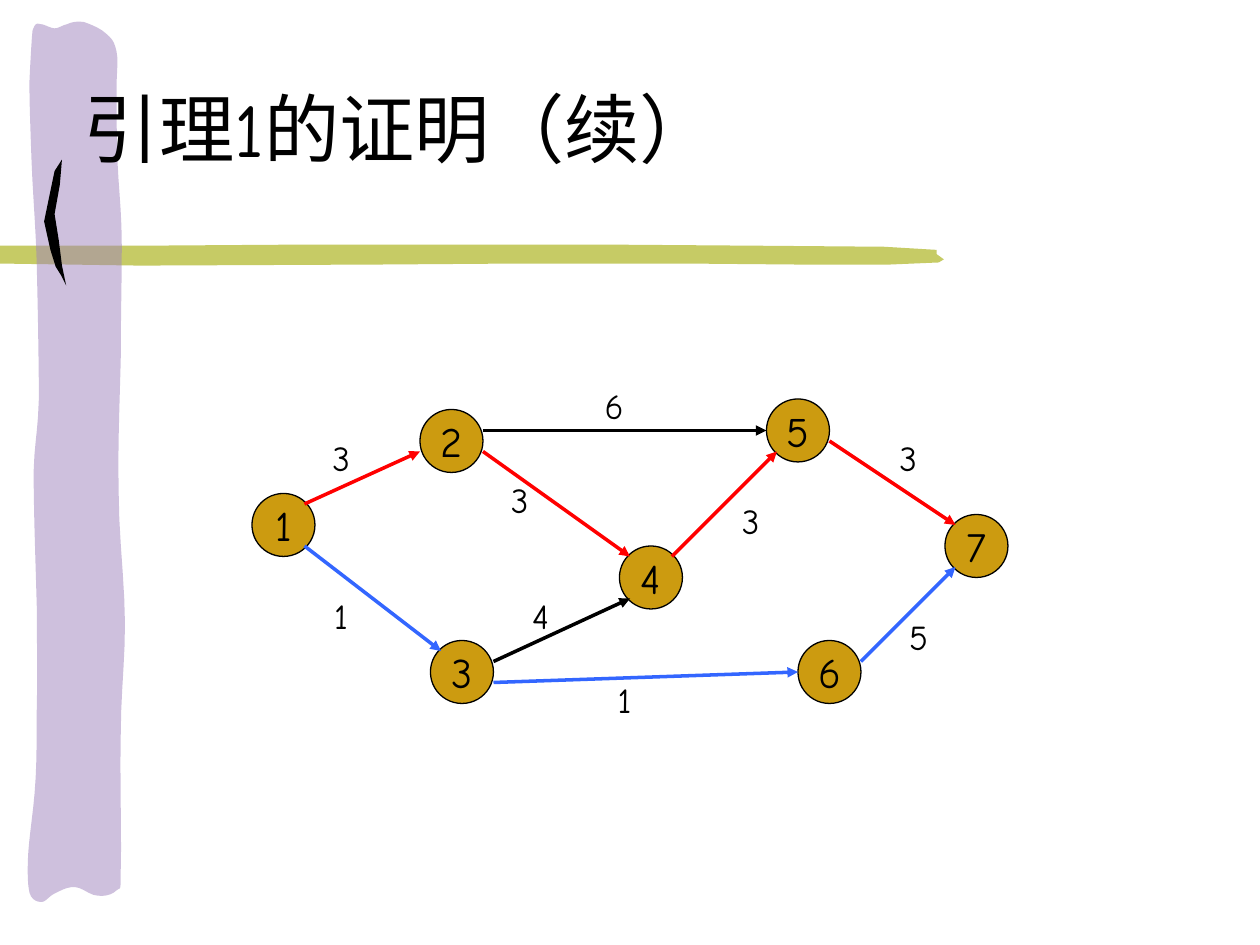
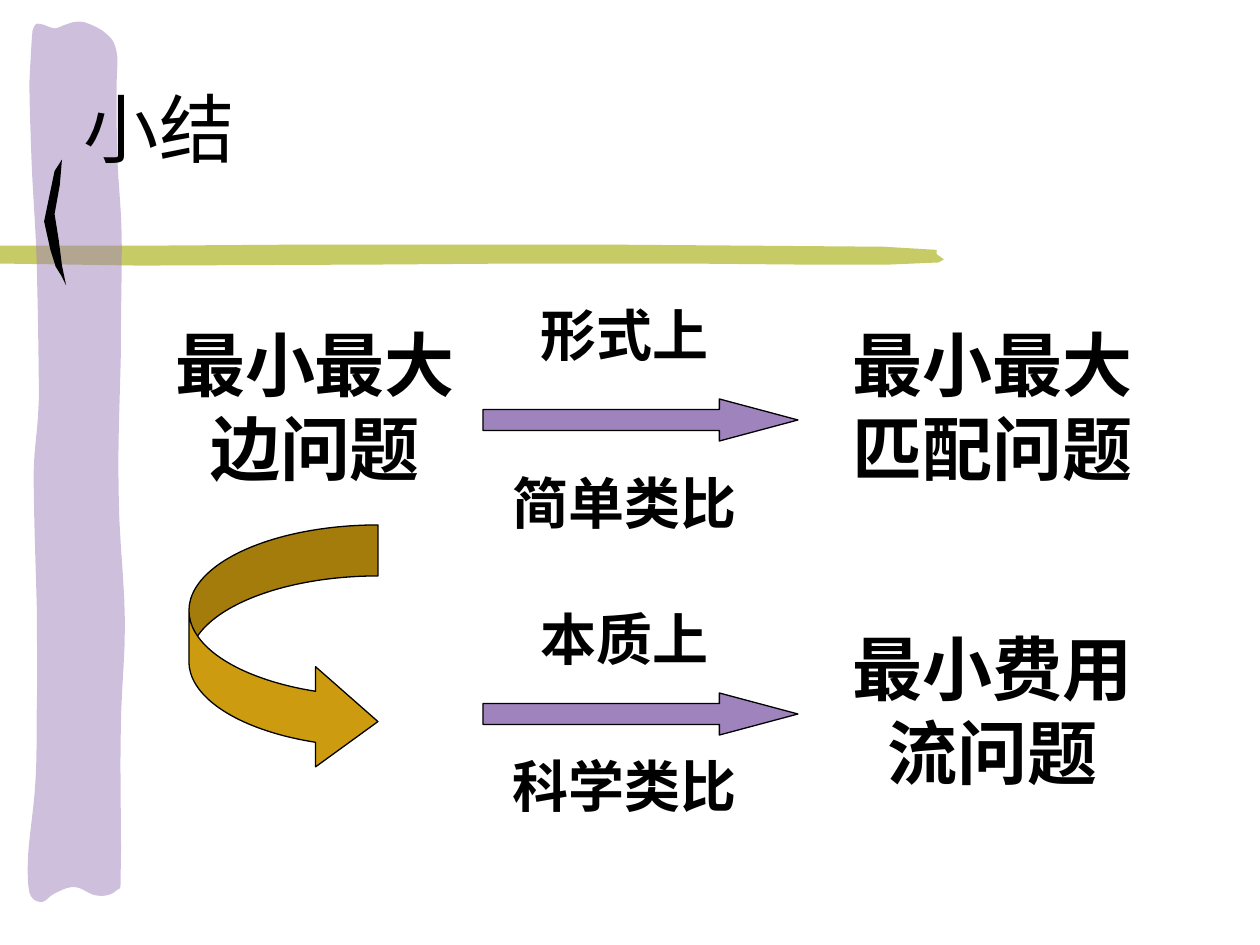
"""Build two slides: a weighted graph for a proof and a summary of analogies."""
from lxml import etree
from pptx import Presentation
from pptx.dml.color import RGBColor
from pptx.enum.shapes import MSO_CONNECTOR, MSO_SHAPE
from pptx.enum.text import MSO_ANCHOR, MSO_AUTO_SIZE, PP_ALIGN
from pptx.oxml.ns import qn
from pptx.util import Pt

PX = 7620
FONT = "Comic Neue"
BLACK = RGBColor(0x00, 0x00, 0x00)
WHITE = RGBColor(0xFF, 0xFF, 0xFF)
PURPLE = RGBColor(0x9F, 0x83, 0xBD)
GREEN = RGBColor(0xC6, 0xCB, 0x65)
GOLD = RGBColor(0xCC, 0x9B, 0x10)
RED = RGBColor(0xFF, 0x00, 0x00)
BLUE = RGBColor(0x33, 0x66, 0xFF)

GREEN_BAND = [
    (721, 234), (842, 235), (892, 238), (892, 242), (899, 247), (894, 250),
    (847, 252), (762, 252), (649, 251), (497, 251), (358, 252), (133, 253),
    (-2, 251), (-4, 234), (133, 234), (278, 233), (469, 233), (587, 233),
]
PURPLE_START = (35, 673)
PURPLE_CURVES = [
    (36, 644, 35, 614, 35, 577), (34, 540, 32, 484, 32, 450),
    (33, 418, 36, 413, 37, 380), (37, 347, 36, 290, 35, 252),
    (34, 214, 31, 182, 30, 152), (29, 124, 28, 98, 28, 78),
    (29, 58, 30, 38, 31, 29), (34, 20, 36, 23, 39, 23),
    (42, 23, 48, 27, 52, 27), (56, 27, 59, 24, 64, 23),
    (68, 21, 74, 20, 80, 21), (86, 23, 96, 27, 101, 32),
    (107, 37, 109, 40, 111, 49), (113, 58, 111, 68, 111, 85),
    (111, 103, 111, 130, 112, 155), (113, 179, 116, 202, 116, 234),
    (116, 265, 115, 305, 115, 343), (114, 383, 112, 427, 113, 469),
    (113, 510, 119, 556, 119, 594), (119, 632, 115, 660, 115, 700),
    (114, 738, 116, 803, 115, 828), (115, 852, 115, 844, 111, 848),
    (107, 852, 100, 854, 93, 853), (86, 853, 78, 845, 72, 845),
    (65, 844, 58, 848, 52, 851), (47, 853, 43, 860, 39, 859),
    (35, 859, 30, 857, 28, 850), (26, 841, 26, 827, 27, 811),
    (28, 796, 31, 778, 33, 755), (35, 732, 35, 703, 35, 673),
]
BLACK_STROKE = [
    (59, 152), (57, 176), (52, 204), (56, 229), (59, 253), (63, 272),
    (58, 262), (53, 254), (48, 238), (42, 211), (47, 187), (52, 163),
]

NODES = [
    ("1", 240, 470), ("2", 400, 390), ("3", 410, 610), ("4", 590, 520),
    ("5", 730, 380), ("6", 760, 610), ("7", 900, 490),
]
EDGES = [
    ("3", RED, (290, 480, 400, 430), (300, 410)),
    ("1", BLUE, (290, 520, 420, 620), (300, 560)),
    ("6", BLACK, (460, 410, 730, 410), (560, 360)),
    ("3", RED, (460, 430, 600, 530), (470, 450)),
    ("1", BLUE, (470, 650, 760, 640), (570, 640)),
    ("4", BLACK, (470, 630, 600, 570), (490, 560)),
    ("5", BLUE, (820, 630, 910, 540), (850, 580)),
    ("3", RED, (640, 530, 740, 430), (690, 470)),
    ("3", RED, (790, 420, 910, 500), (840, 410)),
]
SUMMARY = [
    ("最小最大边问题", 40, 150, 300, 300, 173),
    ("最小最大匹配问题", 40, 780, 300, 330, 173),
    ("最小费用流问题", 40, 780, 590, 330, 173),
    ("形式上", 32, 470, 280, 250, 77),
    ("简单类比", 32, 470, 440, 250, 77),
    ("本质上", 32, 470, 570, 250, 77),
    ("科学类比", 32, 470, 710, 250, 77),
]


def add_run(tf, text, size, bold=False, align=PP_ALIGN.CENTER):
    p = tf.paragraphs[0]
    p.alignment = align
    r = p.add_run()
    r.text = text
    r.font.name = FONT
    r.font.size = Pt(size)
    r.font.bold = bold
    r.font.color.rgb = BLACK


def add_box(s, kind, x, y, w, h, fill=None):
    box = [v * PX for v in (x, y, w, h)]
    if kind is None:
        sp = s.shapes.add_textbox(*box)
        sp.text_frame.word_wrap = True
        return sp
    sp = s.shapes.add_shape(kind, *box)
    sp.shadow.inherit = False
    sp.fill.solid()
    sp.fill.fore_color.rgb = fill
    sp.line.color.rgb = BLACK
    sp.line.width = Pt(0.75)
    return sp


prs = Presentation()
prs.slide_width = 1200 * PX
prs.slide_height = 900 * PX
layout = prs.slide_layouts[5]
layout.background.fill.solid()
layout.background.fill.fore_color.rgb = WHITE

slides = []
for title in ("引理1的证明（续）", "小结"):
    s = prs.slides.add_slide(layout)
    sp = s.shapes.title
    sp.left, sp.top, sp.width, sp.height = [v * PX for v in (68, 72, 1128, 98)]
    tf = sp.text_frame
    tf.auto_size = MSO_AUTO_SIZE.NONE
    tf.vertical_anchor = MSO_ANCHOR.MIDDLE
    add_run(tf, title, 43, align=PP_ALIGN.LEFT)
    slides.append(s)
graph, summary = slides

purple_band = [PURPLE_START]
for x1, y1, x2, y2, x3, y3 in PURPLE_CURVES:
    x0, y0 = purple_band[-1]
    for t in (0.2, 0.4, 0.6, 0.8, 1):
        u = 1 - t
        a, b, c, d = u**3, 3 * u * u * t, 3 * u * t * t, t**3
        purple_band.append((a * x0 + b * x1 + c * x2 + d * x3,
                            a * y0 + b * y1 + c * y2 + d * y3))

bands = [(GREEN_BAND, GREEN), (purple_band, PURPLE), (BLACK_STROKE, BLACK)]
for i, (points, color) in enumerate(bands):
    points = [(round(x * PX), round(y * PX)) for x, y in points]
    builder = graph.shapes.build_freeform(*points[0])
    builder.add_line_segments(points[1:], close=True)
    sp = builder.convert_to_shape()
    sp.shadow.inherit = False
    sp.fill.solid()
    sp.fill.fore_color.rgb = color
    sp.line.fill.background()
    if color == PURPLE:
        clr = sp.element.spPr.find(qn("a:solidFill")).find(qn("a:srgbClr"))
        etree.SubElement(clr, qn("a:alpha")).set("val", "50000")
    sp.element.nvSpPr.cNvPr.set("id", str(101 + i))
    layout.shapes.element.insert(2 + i, sp.element)

for name, x, y in NODES:
    sp = add_box(graph, MSO_SHAPE.OVAL, x, y, 60, 60, GOLD)
    tf = sp.text_frame
    tf.word_wrap = False
    tf.vertical_anchor = MSO_ANCHOR.MIDDLE
    add_run(tf, name, 24)

for weight, color, ends, (x, y) in EDGES:
    cx = graph.shapes.add_connector(MSO_CONNECTOR.STRAIGHT, *[v * PX for v in ends])
    cx.line.color.rgb = color
    cx.line.width = Pt(2)
    ln = cx.line._get_or_add_ln()
    etree.SubElement(ln, qn("a:tailEnd")).set("type", "triangle")
    etree.SubElement(cx.element.spPr, qn("a:effectLst"))
    sp = add_box(graph, None, x, y, 50, 53)
    add_run(sp.text_frame, weight, 20)

for text, size, x, y, w, h in SUMMARY:
    sp = add_box(summary, None, x, y, w, h)
    add_run(sp.text_frame, text, size, bold=True)

for y in (380, 660):
    sp = add_box(summary, MSO_SHAPE.RIGHT_ARROW, 460, y, 300, 40, PURPLE)
    sp.adjustments[0] = 0.5
    sp.adjustments[1] = 1.87

sp = add_box(summary, MSO_SHAPE.CURVED_RIGHT_ARROW, 180, 500, 180, 235, GOLD)
for i, value in enumerate((0.27, 0.53, 0.33)):
    sp.adjustments[i] = value

prs.save("out.pptx")
